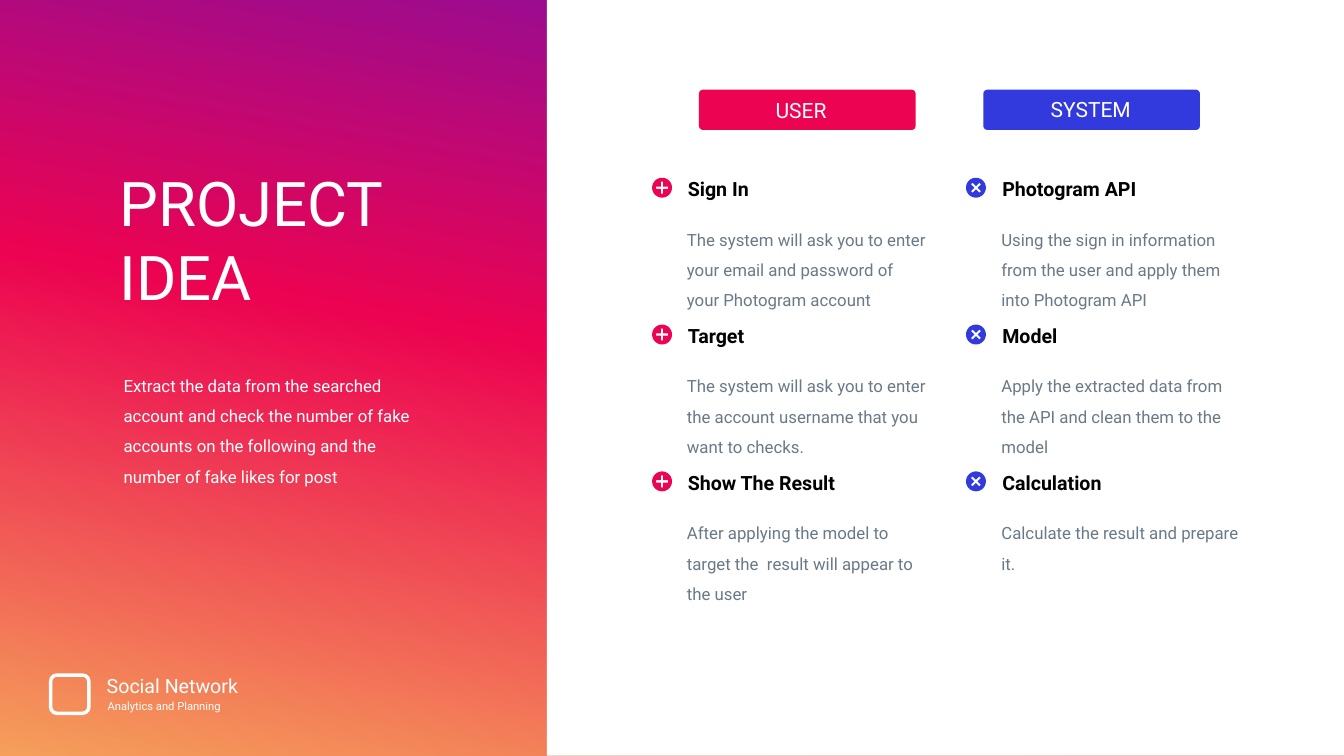
from copy import deepcopy
from math import cos, pi, sin

from pptx import Presentation
from pptx.dml.color import RGBColor
from pptx.enum.shapes import MSO_SHAPE
from pptx.enum.text import MSO_ANCHOR, MSO_AUTO_SIZE, PP_ALIGN
from pptx.oxml.ns import qn
from pptx.oxml.xmlchemy import OxmlElement
from pptx.util import Cm, Pt

HUES = {"white": "FFFFFF", "black": "010100", "grey": "697987",
        "red": "EC0351", "blue": "333ADD",
        "orange": "F59F5A", "purple": "7B0FA8"}

# Per text style: colour, padding in cm, line spacing, font values
FORMS = {
    "title": ("white", 0.1, 1, {"size": Pt(88), "bold": False}),
    "intro": ("white", 0.13, 1.5, {"size": Pt(24), "bold": False}),
    "brand": ("white", 0.1, 1, {"size": Pt(28), "bold": False}),
    "tag": ("white", 0.1, 1, {"size": Pt(16), "bold": False}),
    "label": ("white", 0.1, 1, {"size": Pt(30), "bold": False}),
    "head": ("black", 0.15, 1, {"size": Pt(28), "bold": True}),
    "text": ("grey", 0.13, 1.5, {"size": Pt(24), "bold": False}),
}


def paint(shape, hue):
    shape.shadow.inherit = False
    shape.fill.solid()
    shape.fill.fore_color.rgb = RGBColor.from_string(HUES[hue])
    shape.line.fill.background()


def write(words, form, left, top, width, height, holder=None):
    hue, pad, space, font = FORMS[form]
    box = holder or shapes.add_textbox(0, 0, 0, 0)
    box.left, box.top, box.width, box.height = map(Cm, (left, top, width, height))
    frame = box.text_frame
    frame.text = words
    frame.word_wrap = True
    frame.auto_size = MSO_AUTO_SIZE.NONE
    frame.vertical_anchor = MSO_ANCHOR.TOP
    for side in ("left", "top", "right", "bottom"):
        setattr(frame, "margin_" + side, Cm(pad))
    for para in frame.paragraphs:
        para.alignment = PP_ALIGN.LEFT
        para.line_spacing = space
        para.space_before = Pt(0)
        if holder:
            props = para._p.get_or_add_pPr()
            props.set("marL", "0")
            props.set("indent", "0")
            props.append(OxmlElement("a:buNone"))
        for run in para.runs:
            run.font.name = "Roboto"
            run.font.color.rgb = RGBColor.from_string(HUES[hue])
            for key, value in font.items():
                setattr(run.font, key, value)


deck = Presentation()
deck.slide_width, deck.slide_height = Cm(67.74), Cm(38.1)
slide = deck.slides.add_slide(deck.slide_layouts[1])
shapes = slide.shapes

# Gradient backdrop and white panel, behind the placeholders
back = shapes.add_shape(MSO_SHAPE.RECTANGLE, 0, 0, Cm(67.74), Cm(38.1))
panel = shapes.add_shape(MSO_SHAPE.RECTANGLE, Cm(27.56), 0, Cm(40.18), Cm(38.08))
paint(back, "red")
paint(panel, "white")
back.fill.gradient()
back.fill.gradient_angle = 80
stops = back._element.spPr.find(".//" + qn("a:gsLst"))
stops.append(deepcopy(stops[0]))
blend = [(0, "orange"), (0.51, "red"), (1, "purple")]
for stop, (place, hue) in zip(back.fill.gradient_stops, blend):
    stop.position = place
    stop.color.rgb = RGBColor.from_string(HUES[hue])
for depth, shape in enumerate((back, panel), 2):
    shapes._spTree.insert(depth, shape._element)

# Title and intro
write("PROJECT\nIDEA", "title", 5.92, 8.2, 18.21, 7.75, shapes.title)
write("Extract the data from the searched account and check the number of fake "
      "accounts on the following and the number of fake likes for post",
      "intro", 6.1, 18.29, 16.05, 6.25, slide.placeholders[1])

# Footer with a plain mark
mark = shapes.add_shape(MSO_SHAPE.ROUNDED_RECTANGLE,
                        Cm(2.55), Cm(34.02), Cm(1.93), Cm(1.93))
mark.shadow.inherit = False
mark.fill.background()
mark.line.color.rgb = RGBColor.from_string(HUES["white"])
mark.line.width = Pt(5)
write("Social Network", "brand", 5.28, 33.86, 7.59, 1.37)
write("Analytics and Planning", "tag", 5.33, 35.15, 7.77, 0.89)

# Icon outlines in thousandths of a cm: a disc and a plus to cut out of it
disc = [(500 * cos(k * pi / 36), 500 * sin(k * pi / 36)) for k in range(72)]
arm, half = 300, 58
plus = [(half, -arm), (half, -half), (arm, -half), (arm, half),
        (half, half), (half, arm), (-half, arm), (-half, half),
        (-arm, half), (-arm, -half), (-half, -half), (-half, -arm)]

# Columns: label, label left and top, button left, icon, text left, hue, turn, steps
COLS = [
    ("USER", 38.99, 4.8, 35.23, 33.37, 34.49, "red", 0, [
        ("Sign In", "The system will ask you to enter your email and "
                    "password of your Photogram account"),
        ("Target", "The system will ask you to enter the account username "
                   "that you want to checks."),
        ("Show The Result", "After applying the model to target the  result "
                            "will appear to the user")]),
    ("SYSTEM", 52.86, 4.78, 49.56, 49.19, 50.34, "blue", pi / 4, [
        ("Photogram API", "Using the sign in information from the user and "
                          "apply them into Photogram API"),
        ("Model", "Apply the extracted data from the API and clean them to "
                  "the model"),
        ("Calculation", "Calculate the result and prepare it.")]),
]

for label, left, top, edge, mid, start, hue, turn, steps in COLS:
    # Column button
    button = shapes.add_shape(MSO_SHAPE.ROUNDED_RECTANGLE,
                              Cm(edge), Cm(4.52), Cm(10.92), Cm(2.03))
    button.adjustments[0] = 0.1
    paint(button, hue)
    write(label, "label", left, top, 6.27, 1.5)

    # Steps, each with an icon, a heading and a text
    cross = [(x * cos(turn) - y * sin(turn), x * sin(turn) + y * cos(turn))
             for x, y in plus]
    for row, (head, text) in enumerate(steps):
        drop = 7.4 * row
        pen = shapes.build_freeform(*disc[0], scale=Cm(0.001))
        pen.add_line_segments(disc[1:])
        pen.move_to(*cross[0])
        pen.add_line_segments(cross[1:])
        paint(pen.convert_to_shape(Cm(mid), Cm(9.46 + drop)), hue)
        write(head, "head", start + 0.03, 8.79 + drop, 9.3, 1.47)
        write(text, "text", start, 10.92 + drop, 12.34, 4.7)

deck.save("out.pptx")
